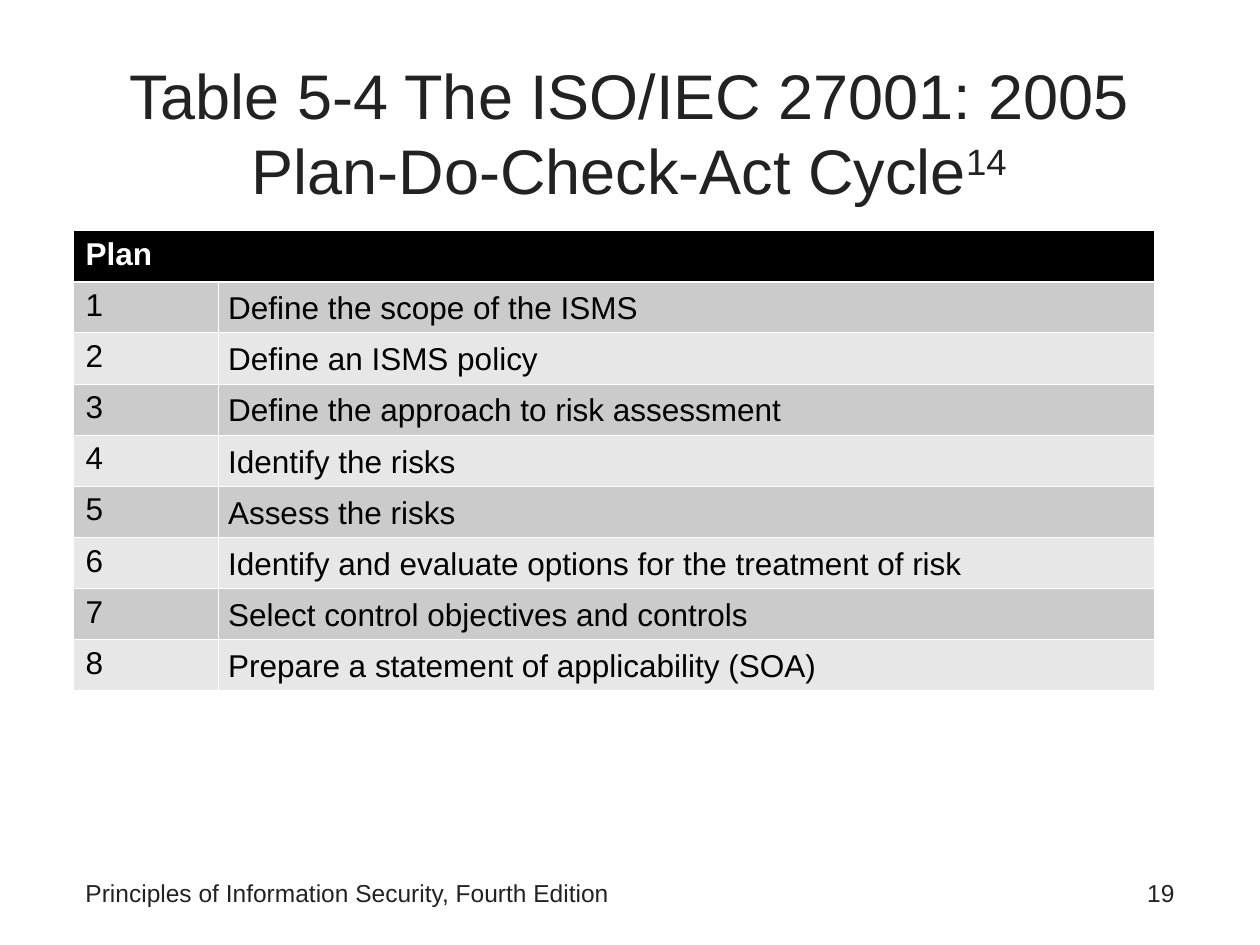
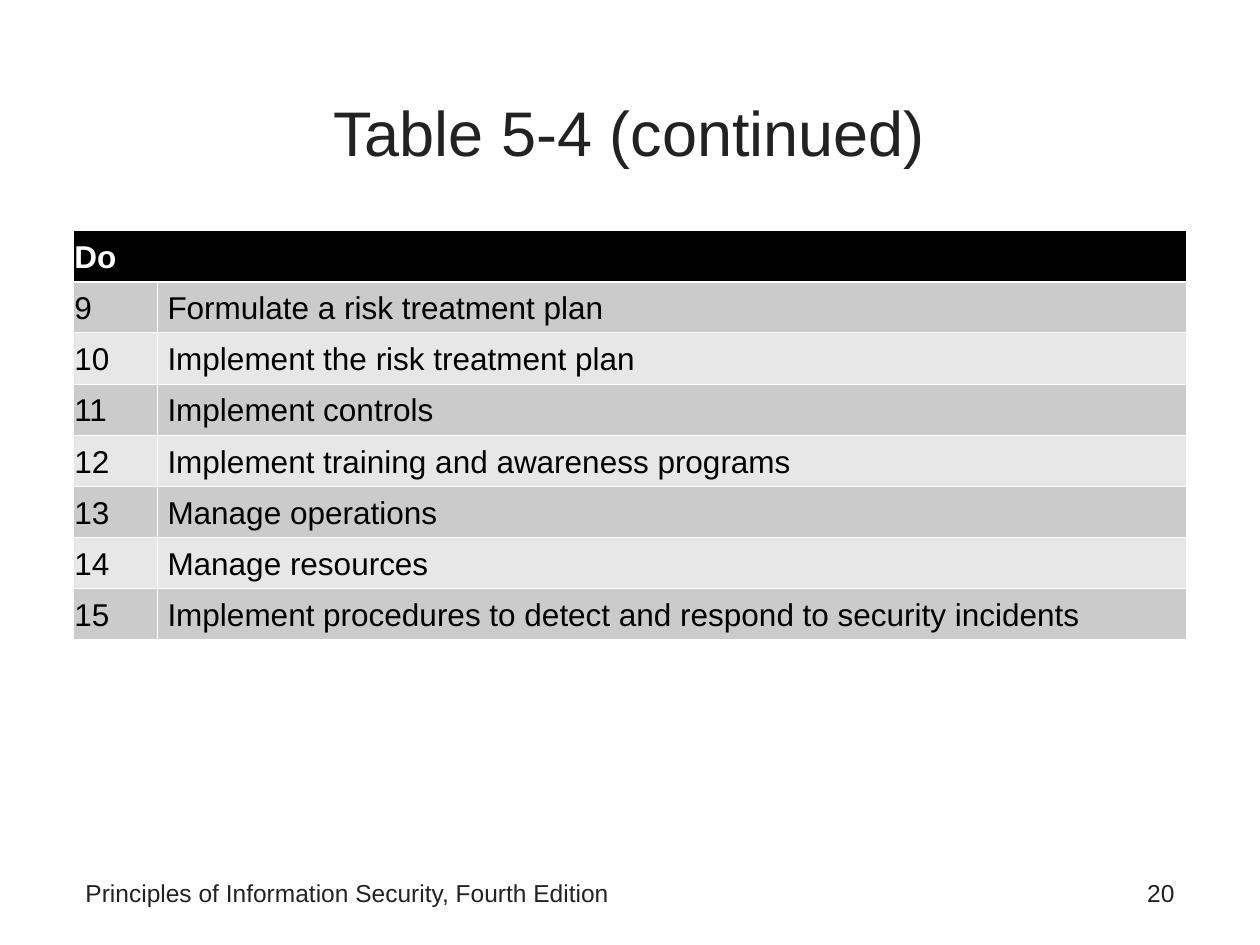
from lxml import etree
from pptx import Presentation
from pptx import util as u
from pptx.dml.color import RGBColor
from pptx.enum import text
from pptx.oxml.ns import qn

COLORS = {
    "ink": "222222",
    "black": "000000",
    "white": "FFFFFF",
    "band_dark": "CBCBCB",
    "band_light": "E7E7E7",
}
FONT = "Arial"
BOOK = "Principles of Information Security, Fourth Edition"
LEFT = 0.58
ROW_HEIGHT = u.Inches(3.65) // 9
THIN, THICK = 0.45, 1.47

# Cell layouts: vertical anchor, left inset, right inset
TOP_PADDED = (text.MSO_ANCHOR.TOP, 0.1, 0.1)
BOTTOM_FLUSH = (text.MSO_ANCHOR.BOTTOM, 0.01, 0.01)
BOTTOM_INDENTED = (text.MSO_ANCHOR.BOTTOM, 0.08, 0.01)

PLAN_STEPS = [
    "Define the scope of the ISMS",
    "Define an ISMS policy",
    "Define the approach to risk assessment",
    "Identify the risks",
    "Assess the risks",
    "Identify and evaluate options for the treatment of risk",
    "Select control objectives and controls",
    "Prepare a statement of applicability (SOA)",
]
DO_STEPS = [
    "Formulate a risk treatment plan",
    "Implement the risk treatment plan",
    "Implement controls",
    "Implement training and awareness programs",
    "Manage operations",
    "Manage resources",
    "Implement procedures to detect and respond to security incidents",
]


def rgb(name):
    return RGBColor.from_string(COLORS[name])


def place(shape, left, top, width, height):
    shape.left, shape.top = u.Inches(left), u.Inches(top)
    shape.width, shape.height = u.Inches(width), u.Inches(height)


def add_run(paragraph, words, size, color="ink", bold=False):
    run = paragraph.add_run()
    run.text = words
    run.font.name = FONT
    run.font.size = u.Pt(size)
    run.font.bold = bold
    run.font.color.rgb = rgb(color)
    return run


def add_title(slide, words, note=None):
    title = slide.shapes.title
    place(title, LEFT, 0.42, 8.83, 1.25)
    frame = title.text_frame
    frame.auto_size = text.MSO_AUTO_SIZE.NONE
    frame.vertical_anchor = text.MSO_ANCHOR.MIDDLE
    heading = frame.paragraphs[0]
    heading.alignment = text.PP_ALIGN.CENTER
    add_run(heading, words, 36)
    if note:
        superscript = add_run(heading, note, 36)
        superscript.font._element.set("baseline", "30000")


def add_footer_text(slide, words, left, width, alignment):
    box = slide.shapes.add_textbox(
        u.Inches(left), u.Inches(6.92), u.Inches(width), u.Inches(0.42))
    box.text_frame.word_wrap = True
    line = box.text_frame.paragraphs[0]
    line.alignment = alignment
    add_run(line, words, 14)


def add_footer(slide, number):
    add_footer_text(slide, BOOK, LEFT, 6.42, text.PP_ALIGN.LEFT)
    add_footer_text(slide, str(number), 7.17, 2.25, text.PP_ALIGN.RIGHT)


def style_cell(cell, fill, layout, top=THIN, bottom=THIN):
    """Set white borders first, since the schema wants them before the fill."""
    properties = cell._tc.get_or_add_tcPr()
    for side, points in (("L", THIN), ("R", THIN), ("T", top), ("B", bottom)):
        border = etree.SubElement(
            properties, qn(f"a:ln{side}"), w=str(u.Pt(points)))
        solid = etree.SubElement(border, qn("a:solidFill"))
        etree.SubElement(solid, qn("a:srgbClr"), val=COLORS["white"])
    cell.fill.solid()
    cell.fill.fore_color.rgb = rgb(fill)
    anchor, left, right = layout
    cell.vertical_anchor = anchor
    cell.margin_left, cell.margin_right = u.Inches(left), u.Inches(right)
    cell.margin_top = cell.margin_bottom = u.Inches(0.05)


def add_step_table(slide, phase, steps, first_number, widths, number_layout):
    rows = len(steps) + 1
    table = slide.shapes.add_table(
        rows, 2, u.Inches(LEFT), u.Inches(1.83),
        u.Inches(sum(widths)), ROW_HEIGHT * rows).table
    for column, width in zip(table.columns, widths):
        column.width = u.Inches(width)

    header = table.cell(0, 0)
    header.merge(table.cell(0, 1))
    for column in range(2):
        style_cell(table.cell(0, column), "black", number_layout, bottom=THICK)
    add_run(header.text_frame.paragraphs[0], phase, 18, "white", bold=True)

    for row, step in enumerate(steps, 1):
        band = "band_dark" if row % 2 else "band_light"
        top = THICK if row == 1 else THIN
        entries = ((str(first_number + row - 1), number_layout),
                   (step, BOTTOM_INDENTED))
        for column, (words, layout) in enumerate(entries):
            cell = table.cell(row, column)
            style_cell(cell, band, layout, top=top)
            add_run(cell.text_frame.paragraphs[0], words, 18, "black")


def add_content_slide(deck, number, title, note=None):
    slide = deck.slides.add_slide(deck.slide_layouts.get_by_name("Title Only"))
    add_title(slide, title, note)
    add_footer(slide, number)
    return slide


def main():
    deck = Presentation()
    deck.slide_width, deck.slide_height = u.Inches(10), u.Inches(7.5)

    plan = add_content_slide(
        deck, 19, "Table 5-4 The ISO/IEC 27001: 2005 Plan-Do-Check-Act Cycle", "14")
    add_step_table(plan, "Plan", PLAN_STEPS, 1, (1.15, 7.43), TOP_PADDED)

    do = add_content_slide(deck, 20, "Table 5-4 (continued)")
    add_step_table(do, "Do", DO_STEPS, 9, (0.67, 8.17), BOTTOM_FLUSH)

    deck.save("out.pptx")


if __name__ == "__main__":
    main()
